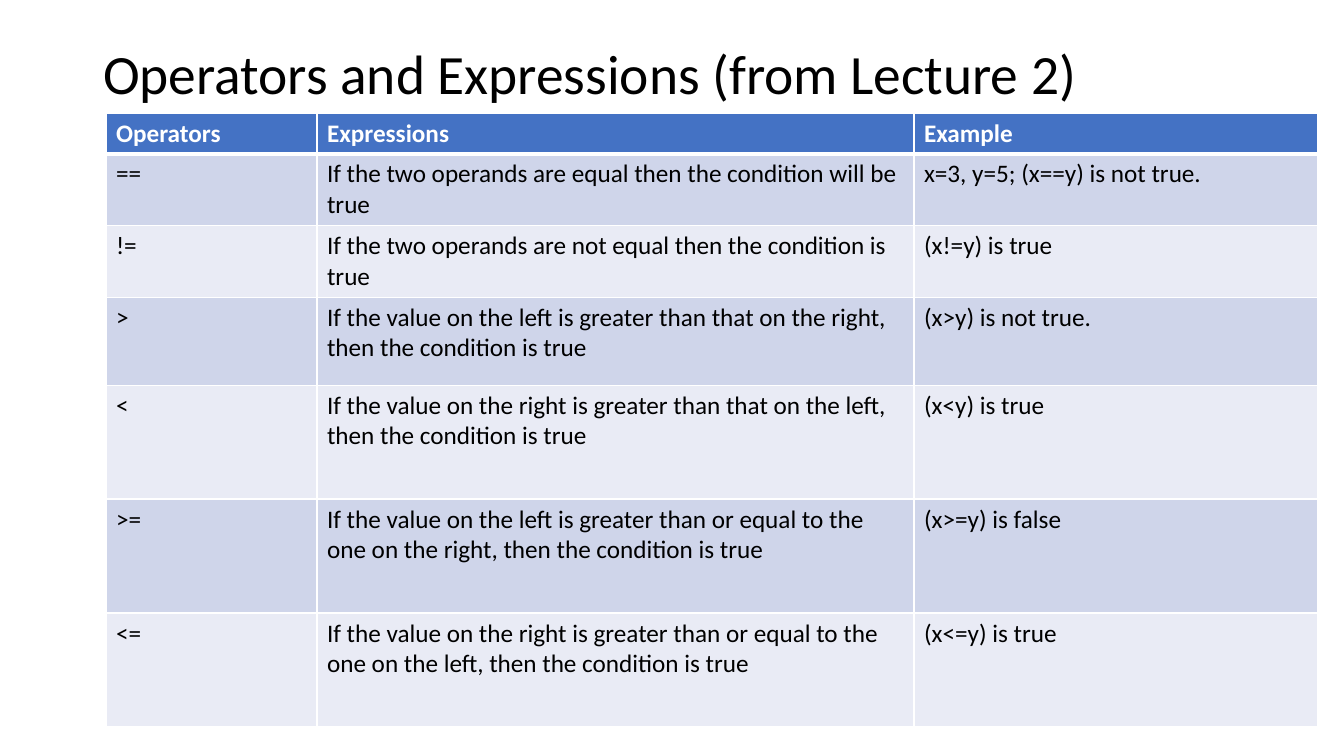
from lxml.etree import SubElement
from pptx import Presentation
from pptx.dml.color import RGBColor
from pptx.enum.text import MSO_ANCHOR, MSO_AUTO_SIZE, PP_ALIGN
from pptx.oxml.ns import qn
from pptx.util import Pt

EMU_PER_PX = 914400 / 100.8
FONT = "Calibri"
BLACK, WHITE = "000000", "FFFFFF"
HEADER_FILL = "4472C4"
BAND_FILLS = ("CFD5EA", "E9EBF5")

TITLE = "Operators and Expressions (from Lecture 2)"
TITLE_BOX = (93, 40, 1159, 73)
TABLE_ORIGIN = (106, 113)
COLUMN_WIDTHS = (211, 597, 404)
ROW_HEIGHTS = (38, 68, 68, 88, 114, 114, 114)
OPERATORS = (
    ("Operators", "Expressions", "Example"),
    ("==", "If the two operands are equal then the condition will be true",
     "x=3, y=5; (x==y) is not true."),
    ("!=", "If the two operands are not equal then the condition is true",
     "(x!=y) is true"),
    (">", "If the value on the left is greater than that on the right, "
     "then the condition is true", "(x>y) is not true."),
    ("<", "If the value on the right is greater than that on the left, "
     "then the condition is true", "(x<y) is true"),
    (">=", "If the value on the left is greater than or equal to the one "
     "on the right, then the condition is true", "(x>=y) is false"),
    ("<=", "If the value on the right is greater than or equal to the one "
     "on the left, then the condition is true", "(x<=y) is true"),
)


def px(length):
    return round(length * EMU_PER_PX)


def color(hex_code):
    return RGBColor.from_string(hex_code)


def add_run(paragraph, words, size, hex_code, bold=False):
    run = paragraph.add_run()
    run.text = words
    run.font.name = FONT
    run.font.size = Pt(size)
    run.font.bold = bold
    run.font.color.rgb = color(hex_code)


def add_border(cell, side, points):
    border = SubElement(cell._tc.get_or_add_tcPr(), qn(f"a:ln{side}"),
                        w=str(Pt(points)))
    fill = SubElement(border, qn("a:solidFill"))
    SubElement(fill, qn("a:srgbClr"), val=WHITE)


def place_title(slide, box):
    title = slide.shapes.title
    title.left, title.top, title.width, title.height = map(px, box)
    frame = title.text_frame
    frame.word_wrap = True
    frame.auto_size = MSO_AUTO_SIZE.NONE
    frame.vertical_anchor = MSO_ANCHOR.MIDDLE
    heading = frame.paragraphs[0]
    heading.alignment = PP_ALIGN.LEFT
    heading.line_spacing = 0.9
    add_run(heading, TITLE, 39.6, BLACK)


def format_cell(cell, words, row):
    """Style a cell as header (row 0) or as part of a banded body row."""
    header = row == 0
    thick_side = {0: "B", 1: "T"}.get(row)
    for side in "LRTB":
        add_border(cell, side, 3 if side == thick_side else 1)
    cell.fill.solid()
    cell.fill.fore_color.rgb = color(
        HEADER_FILL if header else BAND_FILLS[(row - 1) % 2])
    add_run(cell.text_frame.paragraphs[0], words, 18,
            WHITE if header else BLACK, header)


def add_operator_table(slide, origin):
    left, top = origin
    table = slide.shapes.add_table(
        len(OPERATORS), len(COLUMN_WIDTHS), px(left), px(top),
        px(sum(COLUMN_WIDTHS)), px(sum(ROW_HEIGHTS))).table
    for column, width in zip(table.columns, COLUMN_WIDTHS):
        column.width = px(width)
    for row, (height, entries) in enumerate(zip(ROW_HEIGHTS, OPERATORS)):
        table.rows[row].height = px(height)
        for column, words in enumerate(entries):
            format_cell(table.cell(row, column), words, row)


def main():
    deck = Presentation()
    deck.slide_width, deck.slide_height = px(1344), px(756)
    slide = deck.slides.add_slide(deck.slide_layouts.get_by_name("Title Only"))
    place_title(slide, TITLE_BOX)
    add_operator_table(slide, TABLE_ORIGIN)
    deck.save("out.pptx")


if __name__ == "__main__":
    main()
